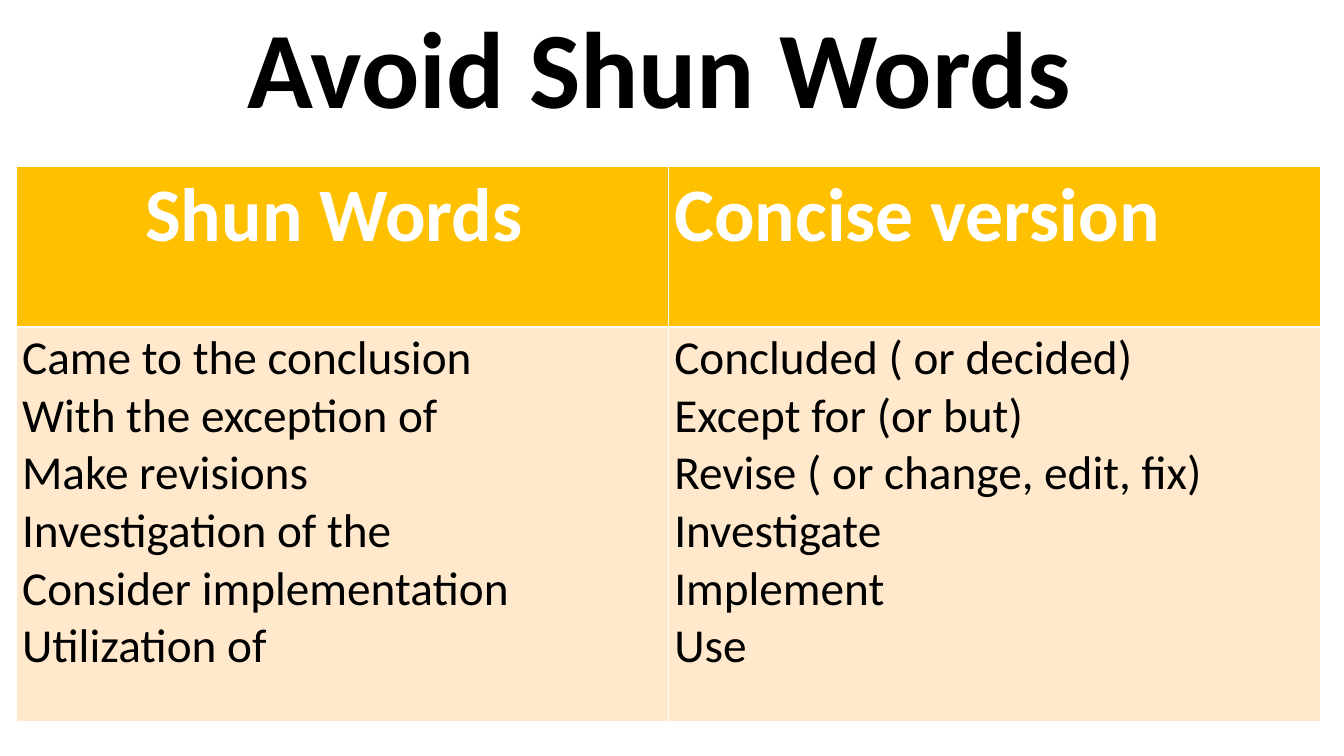
from dataclasses import dataclass

from lxml.etree import SubElement
from pptx import Presentation
from pptx.dml.color import RGBColor
from pptx.enum.text import MSO_ANCHOR, MSO_AUTO_SIZE, PP_ALIGN
from pptx.oxml.ns import qn
from pptx.util import Emu, Pt

EMU_PER_PX = 9144
TITLE_ONLY = 5


@dataclass(frozen=True)
class Theme:
    font: str = "Calibri"
    ink: str = "000000"
    paper: str = "FFFFFF"
    header_fill: str = "FFC000"
    body_fill: str = "FFE8CC"
    title_size: int = 138
    header_size: int = 96
    body_size: int = 60
    thin_rule: int = 1
    thick_rule: int = 3


THEME = Theme()

HEADINGS = [("Shun Words ", PP_ALIGN.CENTER), ("Concise version", PP_ALIGN.LEFT)]
WORD_PAIRS = [
    ("Came to the conclusion", "Concluded ( or decided)"),
    ("With the exception of", "Except for (or but)"),
    ("Make revisions", "Revise ( or change, edit, fix)"),
    ("Investigation of the", "Investigate"),
    ("Consider implementation", "Implement"),
    ("Utilization of", "Use"),
]


def px(length):
    return Emu(length * EMU_PER_PX)


def write_lines(frame, lines, size, color, bold=False, align=PP_ALIGN.LEFT):
    for index, line in enumerate(lines):
        para = frame.paragraphs[0] if index == 0 else frame.add_paragraph()
        para.alignment = align
        span = para.add_run()
        span.text = line
        span.font.name = THEME.font
        span.font.size = Pt(size)
        span.font.bold = bold
        span.font.color.rgb = RGBColor.from_string(color)


def add_title(page, text):
    title = page.shapes.title
    title.left, title.top, title.width, title.height = map(px, (163, 0, 2044, 258))
    frame = title.text_frame
    frame.word_wrap = True
    frame.auto_size = MSO_AUTO_SIZE.NONE
    frame.vertical_anchor = MSO_ANCHOR.MIDDLE
    write_lines(frame, [text], THEME.title_size, THEME.ink, True, PP_ALIGN.CENTER)
    frame.paragraphs[0].line_spacing = 0.9


def style_cell(cell, fill, top, bottom):
    """Rule the cell on four sides, then fill it; the schema wants that order."""
    properties = cell._tc.get_or_add_tcPr()
    widths = {"L": THEME.thin_rule, "R": THEME.thin_rule, "T": top, "B": bottom}
    for side, width in widths.items():
        rule = SubElement(properties, qn(f"a:ln{side}"), w=str(Pt(width)))
        solid = SubElement(rule, qn("a:solidFill"))
        SubElement(solid, qn("a:srgbClr"), val=THEME.paper)
    cell.fill.solid()
    cell.fill.fore_color.rgb = RGBColor.from_string(fill)


def add_word_table(page):
    frame = page.shapes.add_table(2, 2, px(29), px(294), px(2300), px(978))
    table = frame.table
    for row, height in zip(table.rows, (282, 696)):
        row.height = px(height)
    for column, (heading, align) in enumerate(HEADINGS):
        table.columns[column].width = px(1150)
        header, body = table.cell(0, column), table.cell(1, column)
        style_cell(header, THEME.header_fill, THEME.thin_rule, THEME.thick_rule)
        style_cell(body, THEME.body_fill, THEME.thick_rule, THEME.thin_rule)
        write_lines(header.text_frame, [heading], THEME.header_size, THEME.paper, True, align)
        words = [pair[column] for pair in WORD_PAIRS]
        write_lines(body.text_frame, words, THEME.body_size, THEME.ink)


def main():
    deck = Presentation()
    deck.slide_width, deck.slide_height = px(2370), px(1333)
    page = deck.slides.add_slide(deck.slide_layouts[TITLE_ONLY])
    add_title(page, "Avoid Shun Words ")
    add_word_table(page)
    deck.save("out.pptx")


if __name__ == "__main__":
    main()
